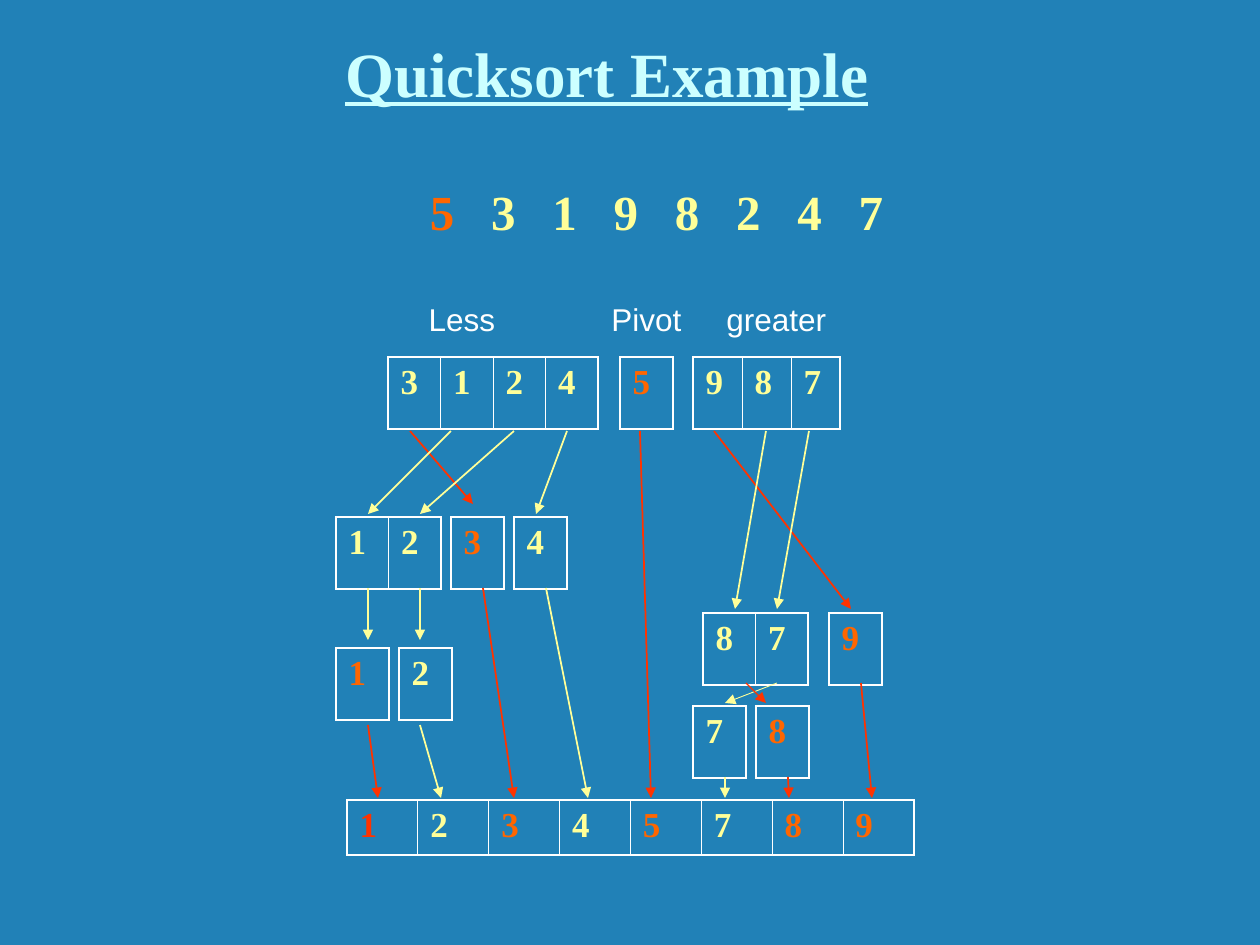
from typing import NamedTuple

from lxml.etree import SubElement
from pptx import Presentation
from pptx.dml.color import RGBColor
from pptx.enum.shapes import MSO_CONNECTOR
from pptx.enum.text import MSO_ANCHOR, PP_ALIGN
from pptx.oxml.ns import qn
from pptx.util import Emu, Pt

SCALE = 914400 / 126  # EMU in one px
WHITE, CREAM, ORANGE, RED, PALE = "FFFFFF", "FFFF99", "FF6600", "FF3300", "CCFFFF"
SERIF = {"name": "Times New Roman", "bold": True}
HEAD = {**SERIF, "size": Pt(36), "underline": True}
LIST = {**SERIF, "size": Pt(28)}
CELL = {**SERIF, "size": Pt(20)}
LABEL = {"name": "Arial", "size": Pt(18)}


class Strip(NamedTuple):
    """A row of boxed digits; those in pivots are orange, those in done red."""
    digits: str
    left: int
    top: int
    width: int
    pivots: str = ""
    done: str = ""
    height: int = 72


class Arrow(NamedTuple):
    x1: int
    y1: int
    x2: int
    y2: int
    color: str = CREAM
    weight: float = 1


class Note(NamedTuple):
    words: list
    left: int
    top: int
    width: int
    height: int
    fmt: dict
    frame: dict = {}
    align: PP_ALIGN = PP_ALIGN.LEFT
    tab: float = 0


def px(n: float) -> Emu:
    return Emu(round(n * SCALE))


def rgb(code: str) -> RGBColor:
    return RGBColor.from_string(code)


def add_run(para, text: str, fmt: dict, color: str) -> None:
    run = para.add_run()
    run.text = text
    for key, value in fmt.items():
        setattr(run.font, key, value)
    run.font.color.rgb = rgb(color)


def add_edge(cell, side: str, weight: float) -> None:
    edge = SubElement(cell._tc.get_or_add_tcPr(), qn(f"a:ln{side}"), w=str(Pt(weight)))
    fill = SubElement(edge, qn("a:solidFill"))
    SubElement(fill, qn("a:srgbClr"), val=WHITE)


def add_strip(slide, strip: Strip) -> None:
    count = len(strip.digits)
    table = slide.shapes.add_table(1, count, px(strip.left), px(strip.top),
                                   px(strip.width), px(strip.height)).table
    table.first_row = table.horz_banding = False
    table.rows[0].height = px(strip.height)
    for i, digit in enumerate(strip.digits):
        table.columns[i].width = px(strip.width / count)
        cell = table.cell(0, i)
        outer = {"L": i == 0, "R": i == count - 1, "T": True, "B": True}
        for side, thick in outer.items():
            add_edge(cell, side, 1.08 if thick else 0.45)
        cell.fill.background()
        color = RED if digit in strip.done else ORANGE if digit in strip.pivots else CREAM
        add_run(cell.text_frame.paragraphs[0], digit, CELL, color)


def add_arrow(slide, arrow: Arrow) -> None:
    ends = [px(n) for n in arrow[:4]]
    link = slide.shapes.add_connector(MSO_CONNECTOR.STRAIGHT, *ends)
    link.line.color.rgb = rgb(arrow.color)
    link.line.width = Pt(arrow.weight)
    SubElement(link.line._get_or_add_ln(), qn("a:tailEnd"), type="triangle")
    SubElement(link._element.spPr, qn("a:effectLst"))


def add_note(slide, note: Note) -> None:
    box = slide.shapes.add_textbox(*(px(n) for n in note[1:5]))
    frame = box.text_frame
    frame.word_wrap = True
    for key, value in note.frame.items():
        setattr(frame, key, value)
    para = frame.paragraphs[0]
    para.alignment = note.align
    if note.tab:
        stops = SubElement(para._p.get_or_add_pPr(), qn("a:tabLst"))
        for i in range(1, 8):
            SubElement(stops, qn("a:tab"), pos=str(px(i * note.tab)), algn="l")
    for text, color in note.words:
        add_run(para, text, note.fmt, color)


NOTES = [
    Note([("Quicksort Example", PALE)], 84, 21, 1046, 95, HEAD,
         {"vertical_anchor": MSO_ANCHOR.BOTTOM}, PP_ALIGN.CENTER),
    Note([("5", ORANGE), ("\t3\t1\t9\t8\t2\t4\t7", CREAM)], 84, 175, 1144, 675, LIST,
         {"margin_left": px(346)}, tab=61.25),
    Note([("Less", WHITE)], 399, 294, 126, 50, LABEL, align=PP_ALIGN.CENTER),
    Note([("Pivot", WHITE)], 599, 294, 126, 50, LABEL),
    Note([("greater", WHITE)], 714, 294, 126, 50, LABEL),
]

STRIPS = [
    # First split
    Strip("3124", 388, 357, 210),
    Strip("5", 620, 357, 53, "5"),
    Strip("987", 693, 357, 147),
    # Lesser side
    Strip("12", 336, 517, 105),
    Strip("3", 451, 517, 53, "3"),
    Strip("4", 514, 517, 53),
    Strip("1", 336, 648, 53, "1"),
    Strip("2", 399, 648, 53),
    # Greater side
    Strip("87", 703, 613, 105),
    Strip("9", 829, 613, 53, "9"),
    Strip("7", 693, 706, 53),
    Strip("8", 756, 706, 53, "8"),
    # Sorted result
    Strip("12345789", 347, 800, 567, "3589", "1", 55),
]

ARROWS = [
    # From the first split
    Arrow(410, 431, 473, 504, RED),
    Arrow(451, 431, 368, 514),
    Arrow(514, 431, 420, 514),
    Arrow(567, 431, 536, 514),
    Arrow(640, 431, 651, 798, RED),
    Arrow(714, 431, 851, 609, RED),
    Arrow(766, 431, 735, 609),
    Arrow(809, 431, 777, 609),
    # From the second splits
    Arrow(368, 588, 368, 640),
    Arrow(420, 588, 420, 640),
    Arrow(483, 588, 514, 798, RED),
    Arrow(546, 588, 588, 798),
    Arrow(777, 683, 725, 703, CREAM, 0.5),
    Arrow(746, 683, 766, 703, RED, 0.75),
    Arrow(861, 683, 872, 798, RED),
    # Into the result
    Arrow(368, 725, 378, 798, RED),
    Arrow(420, 725, 441, 798),
    Arrow(725, 777, 725, 798),
    Arrow(788, 777, 789, 798, RED),
]


def main() -> None:
    deck = Presentation()
    deck.slide_width, deck.slide_height = px(1260), px(945)
    slide = deck.slides.add_slide(deck.slide_layouts[6])
    slide.background.fill.solid()
    slide.background.fill.fore_color.rgb = rgb("2181B7")
    for draw, items in ((add_note, NOTES), (add_strip, STRIPS), (add_arrow, ARROWS)):
        for item in items:
            draw(slide, item)
    deck.save("out.pptx")


if __name__ == "__main__":
    main()
